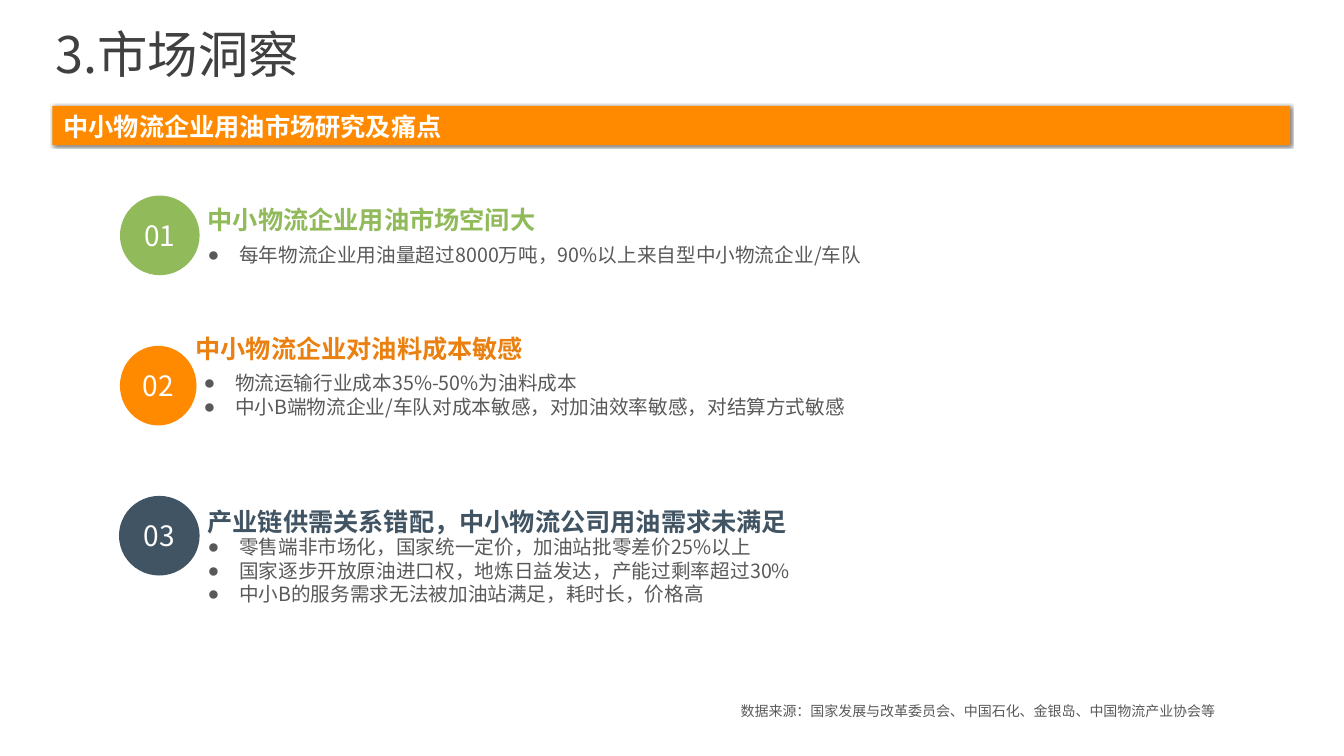
from lxml.etree import SubElement
from pptx import Presentation
from pptx.dml.color import RGBColor
from pptx.enum.shapes import MSO_SHAPE
from pptx.enum.text import MSO_ANCHOR, MSO_AUTO_SIZE, PP_ALIGN
from pptx.oxml.ns import qn
from pptx.util import Pt

FONT = "Noto Sans CJK SC"
COLORS = {
    "title": "404040",
    "body": "595959",
    "white": "FFFFFF",
    "green": "91BA5B",
    "orange": "FF8A00",
    "dark orange": "EA8010",
    "slate": "415463",
    "black": "000000",
}


def write_lines(box, lines, size, color, bold=False, spacing=1.0,
                align=PP_ALIGN.LEFT, anchor=MSO_ANCHOR.TOP, inset=0, bullet=None):
    """Fill a shape with one paragraph per line, all in the same format."""
    frame = box.text_frame
    frame_format = {"word_wrap": True, "auto_size": MSO_AUTO_SIZE.NONE,
                    "vertical_anchor": anchor,
                    "margin_left": Pt(inset), "margin_right": Pt(inset),
                    "margin_top": Pt(inset / 2), "margin_bottom": Pt(inset / 2)}
    for key, value in frame_format.items():
        setattr(frame, key, value)
    frame.text = "\n".join(lines)
    for paragraph in frame.paragraphs:
        paragraph_format = {"alignment": align, "line_spacing": spacing,
                            "space_before": Pt(0), "space_after": Pt(0)}
        for key, value in paragraph_format.items():
            setattr(paragraph, key, value)
        if bullet:
            properties = paragraph._p.get_or_add_pPr()
            properties.set("marL", str(Pt(22.5)))
            properties.set("indent", str(-Pt(22.5)))
            SubElement(properties, qn("a:buChar"), char=bullet)
        for run in paragraph.runs:
            for key, value in {"name": FONT, "size": Pt(size), "bold": bold}.items():
                setattr(run.font, key, value)
            run.font.color.rgb = RGBColor.from_string(COLORS[color])
            SubElement(run._r.get_or_add_rPr(), qn("a:ea"), typeface=FONT)


def add_filled(preset, bounds, color):
    shape = slide.shapes.add_shape(preset, *map(Pt, bounds))
    shape.shadow.inherit = False
    shape.fill.solid()
    shape.fill.fore_color.rgb = RGBColor.from_string(COLORS[color])
    shape.line.fill.background()
    return shape


prs = Presentation()
prs.slide_width, prs.slide_height = Pt(960), Pt(540)
slide = prs.slides.add_slide(prs.slide_layouts.get_by_name("Comparison"))
title = slide.shapes.title
first_list, second_list, third_list, spare = [
    slide.placeholders[idx] for idx in (2, 4, 1, 3)]
spare.element.getparent().remove(spare.element)

# Title and banner
title.left, title.top, title.width, title.height = map(Pt, (39.6, 25.2, 882.7, 35.3))
write_lines(title, ["3.市场洞察"], 36, "title", spacing=0.8)

banner = add_filled(MSO_SHAPE.RECTANGLE, (37.4, 75.6, 884.2, 28.1), "orange")
effects = banner._element.spPr.find(qn("a:effectLst"))
shadow = SubElement(effects, qn("a:outerShdw"), blurRad=str(Pt(2)), dist=str(Pt(1)),
                    dir=str(45 * 60000), algn="tl", rotWithShape="0")
shadow_color = SubElement(shadow, qn("a:srgbClr"), val=COLORS["black"])
SubElement(shadow_color, qn("a:alpha"), val="50000")
subtitle = slide.shapes.add_textbox(Pt(45.4), Pt(79.2), Pt(841.7), Pt(21.6))
write_lines(subtitle, ["中小物流企业用油市场研究及痛点"], 18, "white", bold=True)

# Insights: numbered circle, heading, bullet list
insights = [
    ("green", "green", (85.7, 139.7, 56.9, 56.9),
     "中小物流企业用油市场空间大", (148.3, 148.3, 403.9, 19.4), 0.9,
     first_list, (148.3, 173.5, 637.9, 56.9),
     ["每年物流企业用油量超过8000万吨，90%以上来自型中小物流企业/车队"]),
    ("orange", "dark orange", (85.7, 247, 54.7, 56.9),
     "中小物流企业对油料成本敏感", (139.7, 240.5, 661.7, 19.4), 0.9,
     second_list, (145.4, 265, 596.2, 33.8),
     ["物流运输行业成本35%-50%为油料成本",
      "中小B端物流企业/车队对成本敏感，对加油效率敏感，对结算方式敏感"]),
    ("slate", "slate", (85, 354.2, 57.6, 56.9),
     "产业链供需关系错配，中小物流公司用油需求未满足", (148.3, 357.1, 688.3, 25.9), 1.2,
     third_list, (148.3, 382.3, 711.4, 51.1),
     ["零售端非市场化，国家统一定价，加油站批零差价25%以上",
      "国家逐步开放原油进口权，地炼日益发达，产能过剩率超过30%",
      "中小B的服务需求无法被加油站满足，耗时长，价格高"]),
]
for number, (circle_color, heading_color, circle_bounds, heading_text, heading_bounds,
             spacing, points, points_bounds, lines) in enumerate(insights, 1):
    circle = add_filled(MSO_SHAPE.OVAL, circle_bounds, circle_color)
    write_lines(circle, [f"{number:02}"], 20, "white",
                align=PP_ALIGN.CENTER, anchor=MSO_ANCHOR.MIDDLE)
    heading = slide.shapes.add_textbox(*map(Pt, heading_bounds))
    write_lines(heading, [heading_text], 18, heading_color, bold=True, spacing=spacing)
    points.left, points.top, points.width, points.height = map(Pt, points_bounds)
    write_lines(points, lines, 14, "body", bullet="●")

# Data source
source = slide.shapes.add_textbox(Pt(522), Pt(498.2), Pt(400.3), Pt(19.4))
write_lines(source, ["数据来源：国家发展与改革委员会、中国石化、金银岛、中国物流产业协会等"],
            10, "body", inset=7.2)

prs.save("out.pptx")
